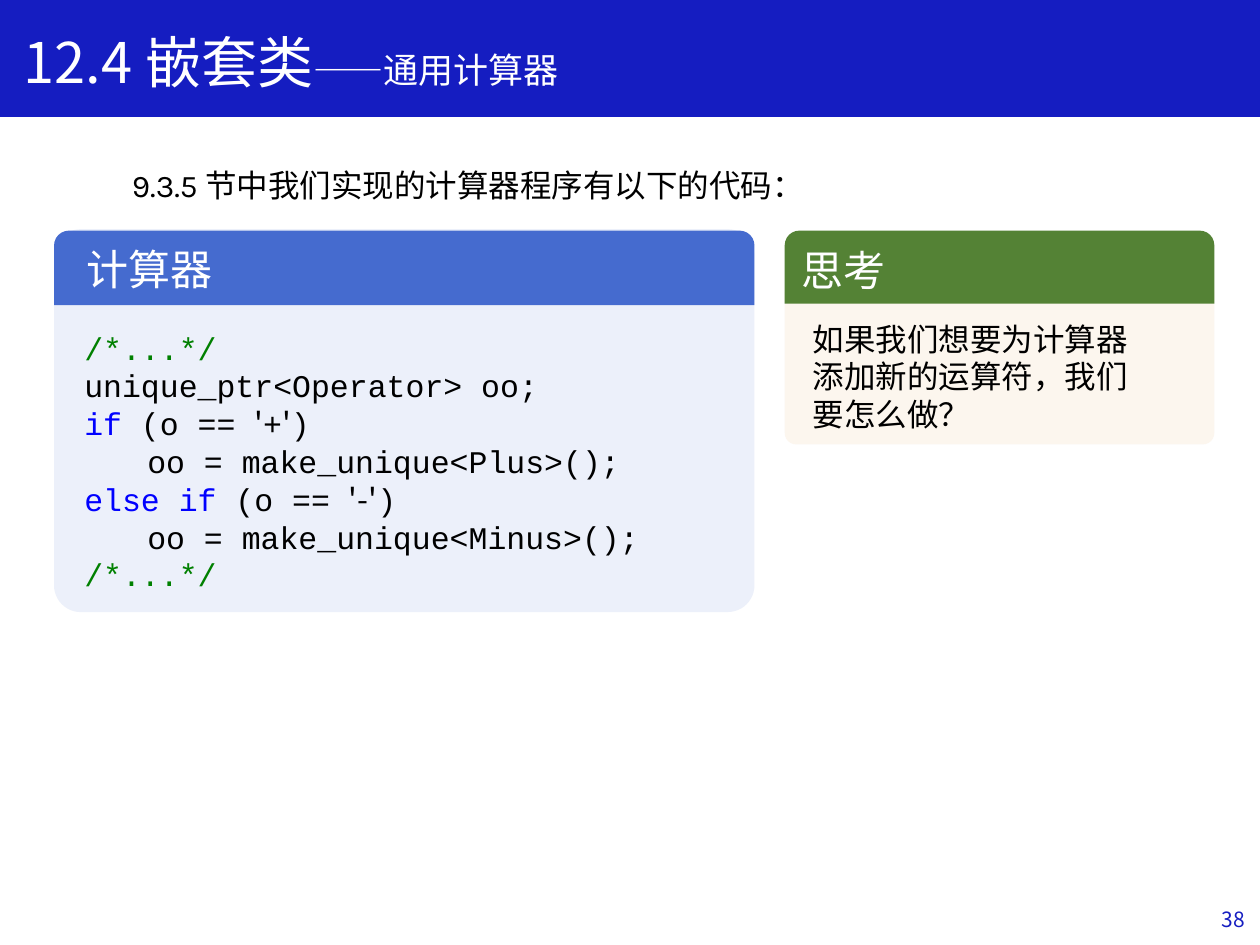
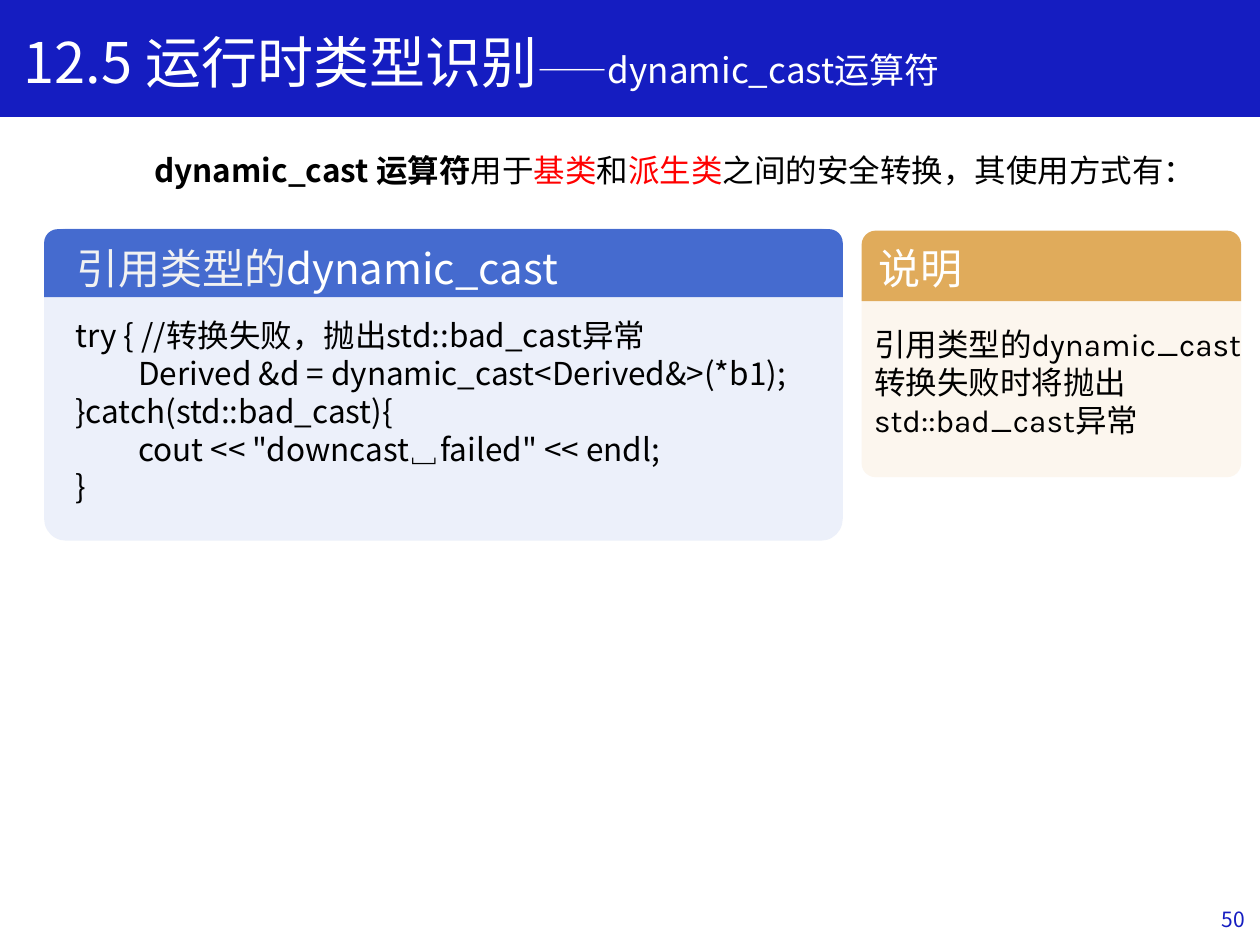
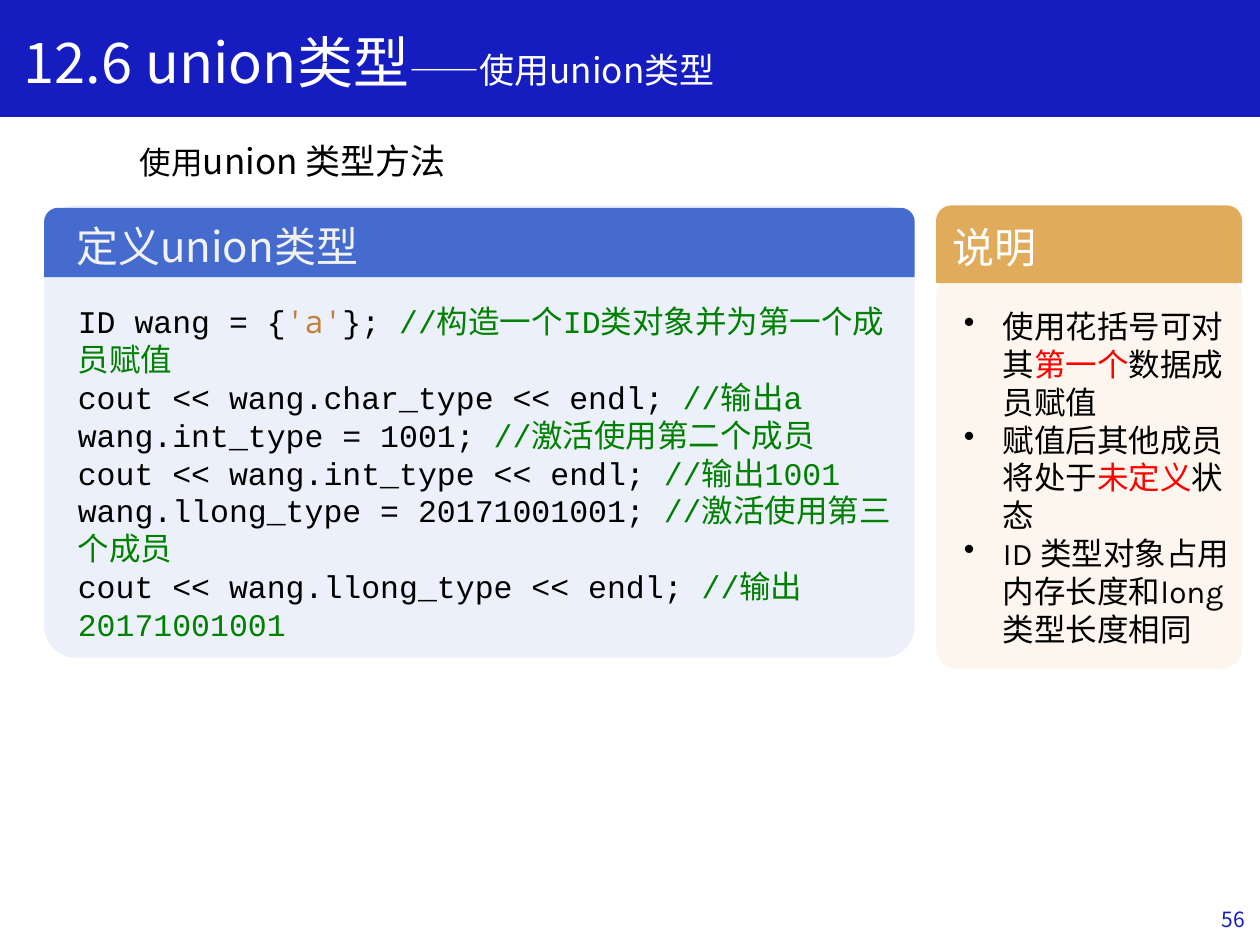
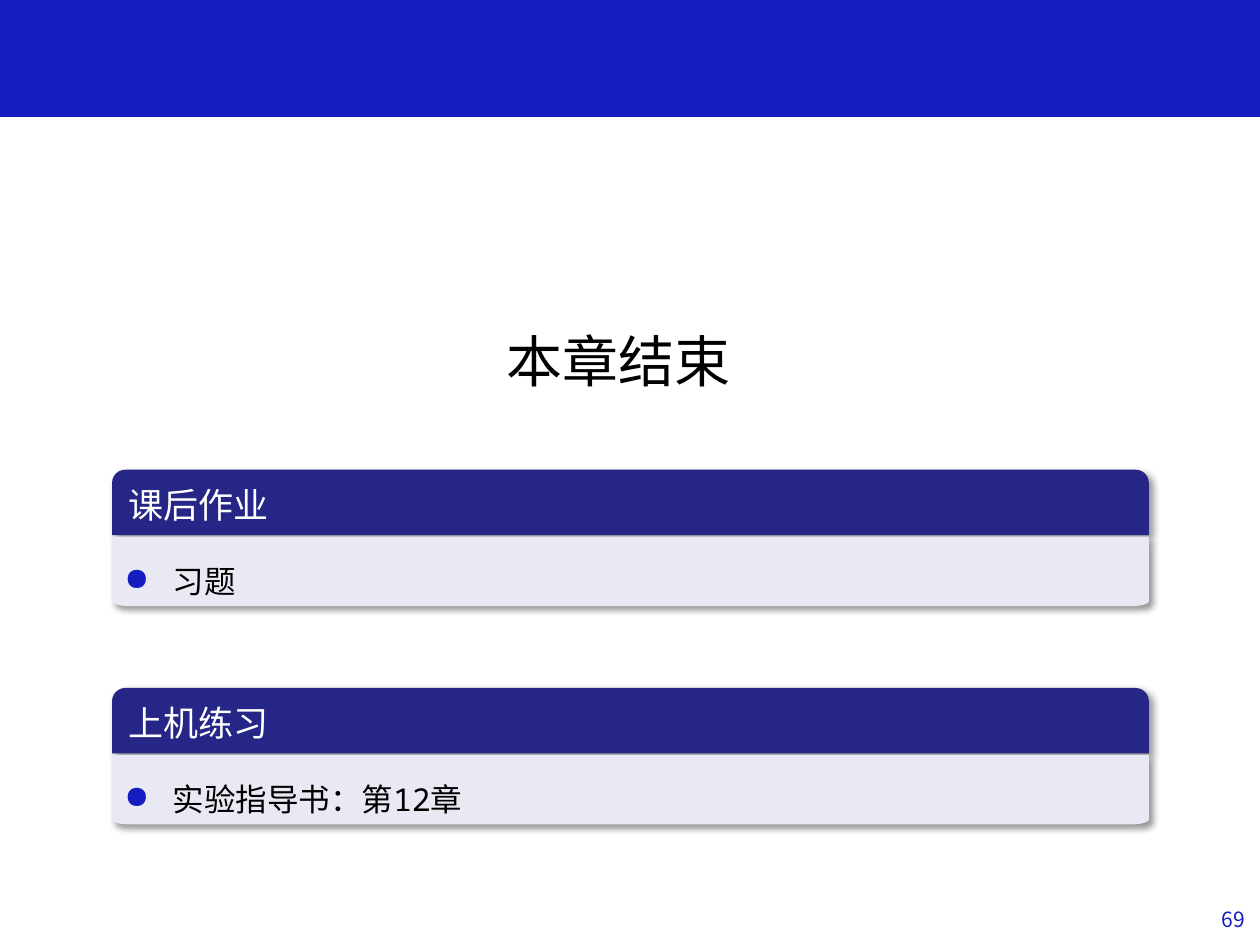
from math import cos, pi, sin

from lxml.etree import SubElement
from pptx import Presentation
from pptx.dml.color import RGBColor
from pptx.enum.shapes import MSO_SHAPE
from pptx.enum.text import MSO_ANCHOR, MSO_AUTO_SIZE, PP_ALIGN
from pptx.oxml.ns import qn
from pptx.util import Cm, Pt

SANS, MONO, KARLA = "Noto Sans CJK SC", "Courier New", "Karla"
BLUE, SKY, PALE = "151DC1", "456BCF", "ECF0FA"
GREEN, GOLD, CREAM = "548235", "E0AB5B", "FCF6EE"
NAVY, MIST = "262686", "E9E9F3"
WHITE, BLACK = "FFFFFF", "000000"

STYLES = {
    "body": (SANS, BLACK),
    "bold": (SANS, BLACK),
    "red": (SANS, "FF0000"),
    "white": (SANS, WHITE),
    "light": (SANS, "F2F2F2"),
    "page": (SANS, BLUE),
    "karla": (KARLA, BLACK),
    "code": (MONO, BLACK),
    "key": (MONO, "0000FF"),
    "note": (MONO, "008000"),
    "hint": (SANS, "008000"),
    "char": ("Noto Sans Mono", "C08040"),
    "mono": ("Noto Sans Mono", BLACK),
}


def color(code):
    return RGBColor.from_string(code)


def add_run(para, text, style="body", size=18):
    face, tint = STYLES[style]
    run = para.add_run()
    run.text = text
    font = run.font
    font.size = Pt(size)
    font.bold = style == "bold"
    font.color.rgb = color(tint)
    font.name = face
    SubElement(run.font._element, qn("a:ea"), typeface=face)


def add_tab(para):
    tabs = SubElement(para._p.get_or_add_pPr(), qn("a:tabLst"))
    SubElement(tabs, qn("a:tab"), pos=str(Cm(1.27)), algn="l")


def add_mark(para, mark, indent, tint=None):
    props = para._p.get_or_add_pPr()
    props.set("marL", str(Cm(indent)))
    props.set("indent", str(-Cm(indent)))
    if tint:
        fill = SubElement(props, qn("a:buClr"))
        SubElement(fill, qn("a:srgbClr"), val=tint)
    SubElement(props, qn("a:buChar"), char=mark)


def write(frame, lines, size=18, align=PP_ALIGN.LEFT, mark=None):
    frame.word_wrap = True
    for i, line in enumerate(lines):
        para = frame.add_paragraph() if i else frame.paragraphs[0]
        if mark:
            add_mark(para, *mark)
        if line[0][0].startswith("\t"):
            add_tab(para)
        para.alignment = align
        for part in line:
            add_run(para, *part[:2], *(part[2:] or (size,)))


def add_text(shapes, box, lines, grow=True, **look):
    frame = shapes.add_textbox(*map(Cm, box)).text_frame
    write(frame, lines, **look)
    if grow:
        frame.auto_size = MSO_AUTO_SIZE.SHAPE_TO_FIT_TEXT
    else:
        frame.vertical_anchor = MSO_ANCHOR.MIDDLE


def paint(shape, fill):
    shape.shadow.inherit = False
    shape.fill.solid()
    shape.fill.fore_color.rgb = color(fill)
    shape.line.fill.background()


def add_block(shapes, kind, box, fill, *curves):
    shape = shapes.add_shape(kind, *map(Cm, box))
    paint(shape, fill)
    for i, curve in enumerate(curves):
        shape.adjustments[i] = curve
    return shape


def add_head(shapes, box, fill, text=None, size=24):
    kind = MSO_SHAPE.ROUND_2_SAME_RECTANGLE
    head = add_block(shapes, kind, box, fill, 0.2, 0)
    if text:
        write(head.text_frame, [[(text, "white")]], size=size)
        head.text_frame.vertical_anchor = MSO_ANCHOR.MIDDLE
    return head


def add_card(slide, left, width, body, head, fills, text=None, tag=None):
    shapes = slide.shapes.add_group_shape().shapes
    add_block(shapes, MSO_SHAPE.ROUNDED_RECTANGLE,
              (left, body[0], width, body[1]), fills[0], 0.07)
    add_head(shapes, (left, head[0], width, head[1]), fills[1], text)
    if tag:
        add_text(shapes, (left + 0.4, head[0] + 0.14, 12, 1.27), [tag], size=24)


def add_shade(shape):
    effects = shape.element.spPr.find(qn("a:effectLst"))
    shade = SubElement(effects, qn("a:outerShdw"), blurRad=str(Pt(4)),
                       dist=str(Pt(3)), dir="2700000", algn="tl", rotWithShape="0")
    tint = SubElement(shade, qn("a:srgbClr"), val=BLACK)
    SubElement(tint, qn("a:alpha"), val="40000")


def add_tray(shapes, left, top, width, height):
    wide, tall, steps = 0.35, 0.1, 8
    right, base = left + width, top + height
    turns = [pi / 2 * i / steps for i in range(steps + 1)]
    points = [(right, top)]
    points += [(right - wide + wide * cos(t), base - tall + tall * sin(t)) for t in turns]
    points += [(left + wide - wide * sin(t), base - tall + tall * cos(t)) for t in turns]
    outline = shapes.build_freeform(Cm(left), Cm(top))
    outline.add_line_segments([(Cm(x), Cm(y)) for x, y in points], close=True)
    tray = outline.convert_to_shape()
    paint(tray, MIST)
    return tray


def add_task(slide, top, name, text, style):
    left, width = 2.26, 20.9
    head = add_head(slide.shapes, (left, top, width, 1.32), NAVY, name, 20)
    tray = add_tray(slide.shapes, left, top + 1.35, width, 1.4)
    frame = tray.text_frame
    write(frame, [[(text, style)]], mark=("●", 0.97, BLUE))
    frame.vertical_anchor = MSO_ANCHOR.TOP
    frame.paragraphs[0].line_spacing = 1.5
    frame.paragraphs[0].space_after = Pt(12)
    for shape in (head, tray):
        add_shade(shape)


def add_page(deck, number, title=None, topic=None):
    slide = deck.slides.add_slide(deck.slide_layouts[6])
    band = add_block(slide.shapes, MSO_SHAPE.RECTANGLE, (0, 0, 25.4, 2.34), BLUE)
    band.line.color.rgb = color(BLUE)
    band.line.width = Pt(1)
    add_text(slide.shapes, (19.63, 18.01, 5.72, 1.02), [[(number, "page")]],
             grow=False, size=12, align=PP_ALIGN.RIGHT)
    if title:
        add_text(slide.shapes, (0.23, 0.43, 19.74, 1.63),
                 [[(title, "white", 32), (topic, "white", 20)]])
    return slide


def show_nest(deck):
    slide = add_page(deck, "38", "12.4 嵌套类", "——通用计算器")
    add_card(slide, 15.82, 8.66, (5.66, 3.3), (4.65, 1.47), (CREAM, GREEN), "思考")
    add_card(slide, 1.09, 14.12, (4.62, 7.72), (4.65, 1.5), (PALE, SKY),
             tag=[("计算器", "white")])
    add_text(slide.shapes, (2.41, 3.23, 16.66, 1.02),
             [[("9.3.5 ", "karla"), ("节中我们实现的计算器程序有以下的代码：", "body")]])
    add_text(slide.shapes, (1.45, 6.5, 12.7, 5.64), [
        [("/*...*/", "note")],
        [("unique_ptr<Operator> oo;", "code")],
        [("if ", "key"), ("(o == ", "code"), ("'", "body"), ("+", "code"),
         ("'", "body"), (")", "code")],
        [("\too = make_unique<Plus>();", "code")],
        [("else if ", "key"), ("(o == ", "code"), ("'-'", "body"), (")", "code")],
        [("\too = make_unique<Minus>();", "code")],
        [("/*...*/", "note")],
    ])
    add_text(slide.shapes, (16.13, 6.32, 7.01, 2.57), [
        [("如果我们想要为计算器", "body")],
        [("添加新的运算符，我们", "body")],
        [("要怎么做？", "body")],
    ])


def show_cast(deck):
    slide = add_page(deck, "50", "12.5 运行时类型识别", "——dynamic_cast运算符")
    add_card(slide, 0.89, 16.1, (4.6, 6.3), (4.62, 1.37), (PALE, SKY),
             tag=[("引用类型的", "light"), ("dynamic_cast", "white")])
    add_text(slide.shapes, (1.27, 6.25, 15.72, 4.11), [
        [("try { //转换失败，抛出std::bad_cast异常", "body")],
        [("\tDerived &d = dynamic_cast<Derived&>(*b1);", "body")],
        [("}catch(std::bad_cast){", "body")],
        [("\tcout << \"downcast␣failed\" << endl;", "body")],
        [("}", "body")],
    ])
    add_card(slide, 17.37, 7.65, (5.61, 4.01), (4.65, 1.42), (CREAM, GOLD), "说明")
    add_text(slide.shapes, (17.37, 6.43, 7.95, 2.57), [
        [("引用类型的", "body"), ("dynamic_cast", "karla"),
         ("转换失败时将抛出", "body"), ("std::bad_cast", "karla"), ("异常", "body")],
    ])
    add_text(slide.shapes, (1.45, 2.92, 22.35, 1.02), [
        [("\t", "body"), (" dynamic_cast 运算符", "bold"), ("用于", "body"),
         ("基类", "red"), ("和", "body"), ("派生类", "red"),
         ("之间的安全转换，其使用方式有：", "body")],
    ])


def show_union(deck):
    slide = add_page(deck, "56", "12.6 union类型", "——使用union类型")
    add_card(slide, 0.89, 17.55, (4.14, 9.12), (4.19, 1.4), (PALE, SKY),
             tag=[("定义union类型", "light")])
    add_text(slide.shapes, (1.3, 2.69, 22.68, 1.12),
             [[("\t使用", "body"), ("union 类型方法", "body", 20)]])
    add_card(slide, 18.87, 6.17, (5.54, 7.95), (4.14, 1.57), (CREAM, GOLD), "说明")
    add_text(slide.shapes, (1.32, 5.97, 16.92, 4.88), [
        [("ID wang = {", "code"), ("'a'", "char"), ("}; ", "code"), ("//", "note"),
         ("构造一个", "hint"), ("ID", "note"), ("类对象并为第一个成员赋值", "hint")],
        [("cout << wang.char_type << endl; ", "code"), ("//", "note"),
         ("输出", "hint"), ("a", "note")],
        [("wang.int_type = 1001; ", "code"), ("//", "note"),
         ("激活使用第二个成员", "hint")],
        [("cout << wang.int_type << endl; ", "code"), ("//", "note"),
         ("输出", "hint"), ("1001", "note")],
        [("wang.llong_type = 20171001001; ", "code"), ("//", "note"),
         ("激活使用第三个成员", "hint")],
        [("cout << wang.llong_type << endl; ", "code"), ("//", "note"),
         ("输出", "hint"), ("20171001001", "note")],
    ])
    add_text(slide.shapes, (19.18, 6.07, 6.17, 7.19), [
        [("使用花括号可对其", "body"), ("第一个", "red"), ("数据成员赋值", "body")],
        [("赋值后其他成员将处于", "body"), ("未定义", "red"), ("状态", "body")],
        [("ID ", "karla"), ("类型对象占用内存长度和", "body"),
         ("long ", "karla"), ("类型长度相同", "body")],
    ], mark=("•", 0.79))


def show_end(deck):
    slide = add_page(deck, "69")
    add_text(slide.shapes, (9.96, 6.45, 5.49, 1.63), [[("本章结束", "body")]], size=32)
    add_task(slide, 9.47, "课后作业", "习题", "body")
    add_task(slide, 13.87, "上机练习", "实验指导书：第12章", "mono")


def main():
    deck = Presentation()
    deck.slide_width, deck.slide_height = Cm(25.4), Cm(19.05)
    for show in (show_nest, show_cast, show_union, show_end):
        show(deck)
    deck.save("out.pptx")


if __name__ == "__main__":
    main()
